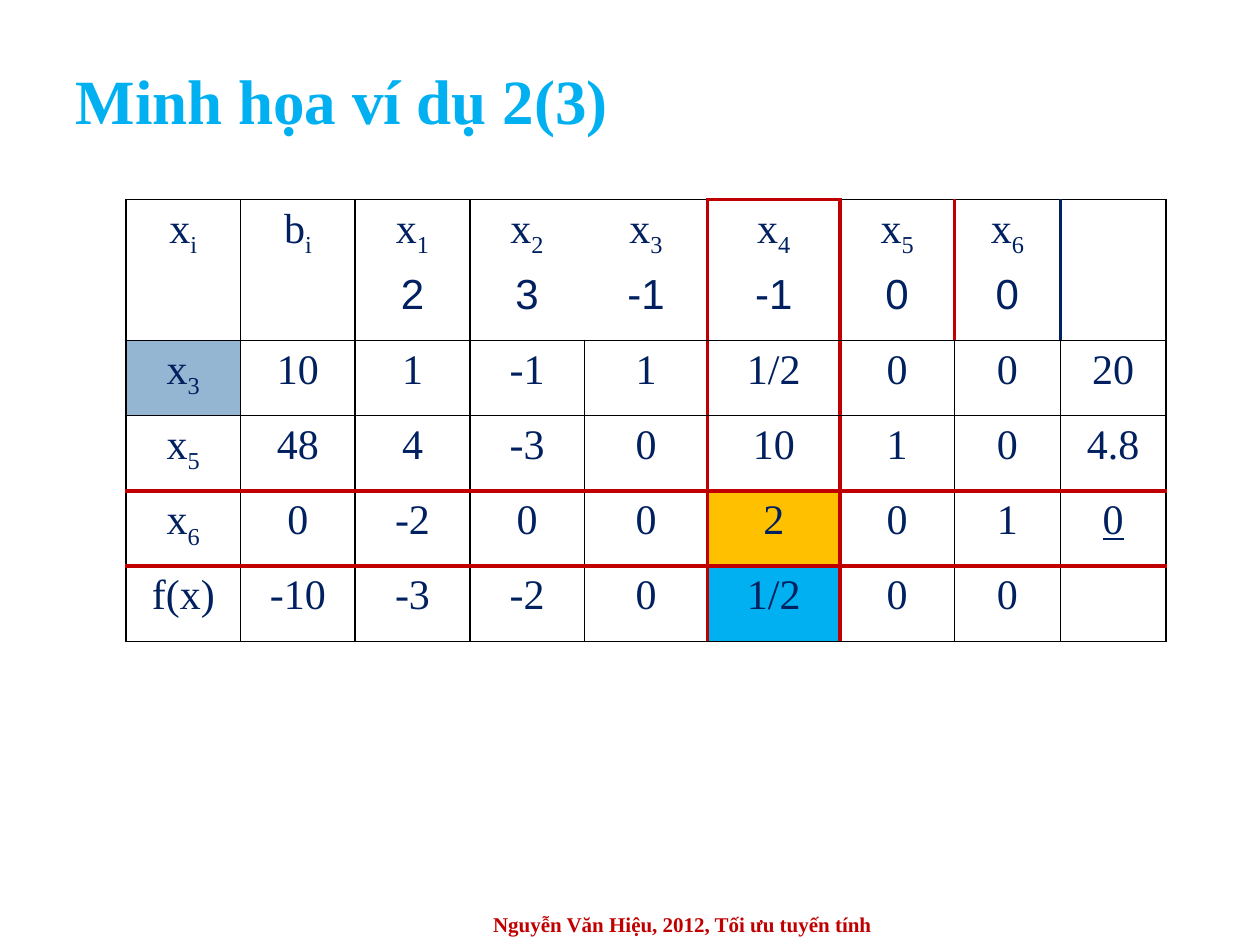
from lxml import etree
from pptx import Presentation
from pptx.dml.color import RGBColor
from pptx.enum.text import MSO_ANCHOR, PP_ALIGN
from pptx.oxml.ns import qn
from pptx.util import Pt

LEFT, CENTER = PP_ALIGN.LEFT, PP_ALIGN.CENTER
MIDDLE = MSO_ANCHOR.MIDDLE
SERIF, SANS = "Times New Roman", "Arial"
TITLE_ONLY = 5

BLACK = RGBColor(0x00, 0x00, 0x00)
RED = RGBColor(0xC0, 0x00, 0x00)
NAVY = RGBColor(0x00, 0x20, 0x60)
SKY = RGBColor(0x00, 0xB0, 0xF0)
STEEL = RGBColor(0x94, 0xB6, 0xD2)
GOLD = RGBColor(0xFF, 0xC0, 0x00)

# Content: an underscore starts a subscript
TITLE = "Minh họa ví dụ 2(3)"
FOOTER = "Nguyễn Văn Hiệu, 2012, Tối ưu tuyến tính"
ROWS = [
    ["x_i", "b_i", "x_1", "x_2", "x_3", "x_4", "x_5", "x_6", ""],
    ["", "", "2", "3", "-1", "-1", "0", "0", ""],
    ["x_3", "10", "1", "-1", "1", "1/2", "0", "0", "20"],
    ["x_5", "48", "4", "-3", "0", "10", "1", "0", "4.8"],
    ["x_6", "0", "-2", "0", "0", "2", "0", "1", "0"],
    ["f(x)", "-10", "-3", "-2", "0", "1/2", "0", "0", ""],
]
COST_ROW, HEADER_ROWS, PIVOT_ROW, PIVOT_COLUMN = 1, 2, 4, 5
LOWEST_RATIO = (PIVOT_ROW, 8)
FILLS = {(2, 0): STEEL, (PIVOT_ROW, PIVOT_COLUMN): GOLD, (5, PIVOT_COLUMN): SKY}

# Layout
COLUMN_WIDTHS = [65.5] * 4 + [70.5, 75.5, 65.5, 60.5, 60.5]
ROW_HEIGHTS = [37] + [43] * 5
TABLE_LEFT, TABLE_TOP = 72, 114

# Grid lines: (colour, width), or None for no line
THIN, PIVOT_LINE, NAVY_LINE = (BLACK, 1), (RED, 2.25), (NAVY, 2.25)
HEADER_LINES = {4: None, 7: PIVOT_LINE, 8: NAVY_LINE}


def vertical_line(row, edge):
    if edge in (PIVOT_COLUMN, PIVOT_COLUMN + 1):
        return PIVOT_LINE
    return HEADER_LINES.get(edge, THIN) if row < HEADER_ROWS else THIN


def horizontal_line(edge, column):
    if edge == COST_ROW:
        return None
    if edge in (PIVOT_ROW, PIVOT_ROW + 1) or (edge == 0 and column == PIVOT_COLUMN):
        return PIVOT_LINE
    return THIN


def write(frame, text, size=24, font=SERIF, color=NAVY, bold=False,
          underline=False, align=CENTER):
    para = frame.paragraphs[0]
    para.alignment = align
    for index, part in enumerate(text.split("_")):
        span = para.add_run()
        span.text = part
        span.font.size = Pt(size)
        span.font.name = font
        span.font.bold = bold
        span.font.underline = underline
        span.font.color.rgb = color
        if index:
            span._r.get_or_add_rPr().set("baseline", "-25000")


def draw_border(cell, side, line):
    border = etree.SubElement(cell._tc.get_or_add_tcPr(), qn(f"a:ln{side}"))
    if line is None:
        etree.SubElement(border, qn("a:noFill"))
        return
    color, width = line
    border.set("w", str(int(Pt(width))))
    fill = etree.SubElement(border, qn("a:solidFill"))
    etree.SubElement(fill, qn("a:srgbClr"), val=str(color))


def format_cell(cell, row, column):
    text = ROWS[row][column]
    if text:
        write(cell.text_frame, text, font=SANS if row == COST_ROW else SERIF,
              underline=(row, column) == LOWEST_RATIO)
    draw_border(cell, "L", vertical_line(row, column))
    draw_border(cell, "R", vertical_line(row, column + 1))
    draw_border(cell, "T", horizontal_line(row, column))
    draw_border(cell, "B", horizontal_line(row + 1, column))
    if (row, column) in FILLS:
        cell.fill.solid()
        cell.fill.fore_color.rgb = FILLS[row, column]
    else:
        cell.fill.background()


def add_tableau(page):
    table = page.shapes.add_table(
        len(ROWS), len(COLUMN_WIDTHS), Pt(TABLE_LEFT), Pt(TABLE_TOP),
        Pt(sum(COLUMN_WIDTHS)), Pt(sum(ROW_HEIGHTS))).table
    table.first_row = table.horz_banding = False
    for column, width in zip(table.columns, COLUMN_WIDTHS):
        column.width = Pt(width)
    for row, height in zip(table.rows, ROW_HEIGHTS):
        row.height = Pt(height)
    for row, texts in enumerate(ROWS):
        for column in range(len(texts)):
            format_cell(table.cell(row, column), row, column)
    for column in (0, 1):
        table.cell(0, column).merge(table.cell(COST_ROW, column))


def main():
    deck = Presentation()
    deck.slide_width, deck.slide_height = Pt(720), Pt(540)
    page = deck.slides.add_slide(deck.slide_layouts[TITLE_ONLY])

    # Title
    title = page.shapes.title
    title.left, title.top, title.width, title.height = Pt(36), Pt(30), Pt(648), Pt(54)
    title.text_frame.vertical_anchor = MIDDLE
    write(title.text_frame, TITLE, size=36, color=SKY, bold=True, align=LEFT)

    # Simplex tableau
    add_tableau(page)

    # Footer
    footer = page.shapes.add_textbox(Pt(210), Pt(516), Pt(360), Pt(24)).text_frame
    footer.word_wrap = True
    footer.vertical_anchor = MIDDLE
    write(footer, FOOTER, size=12, color=RED, bold=True)

    deck.save("out.pptx")


if __name__ == "__main__":
    main()
